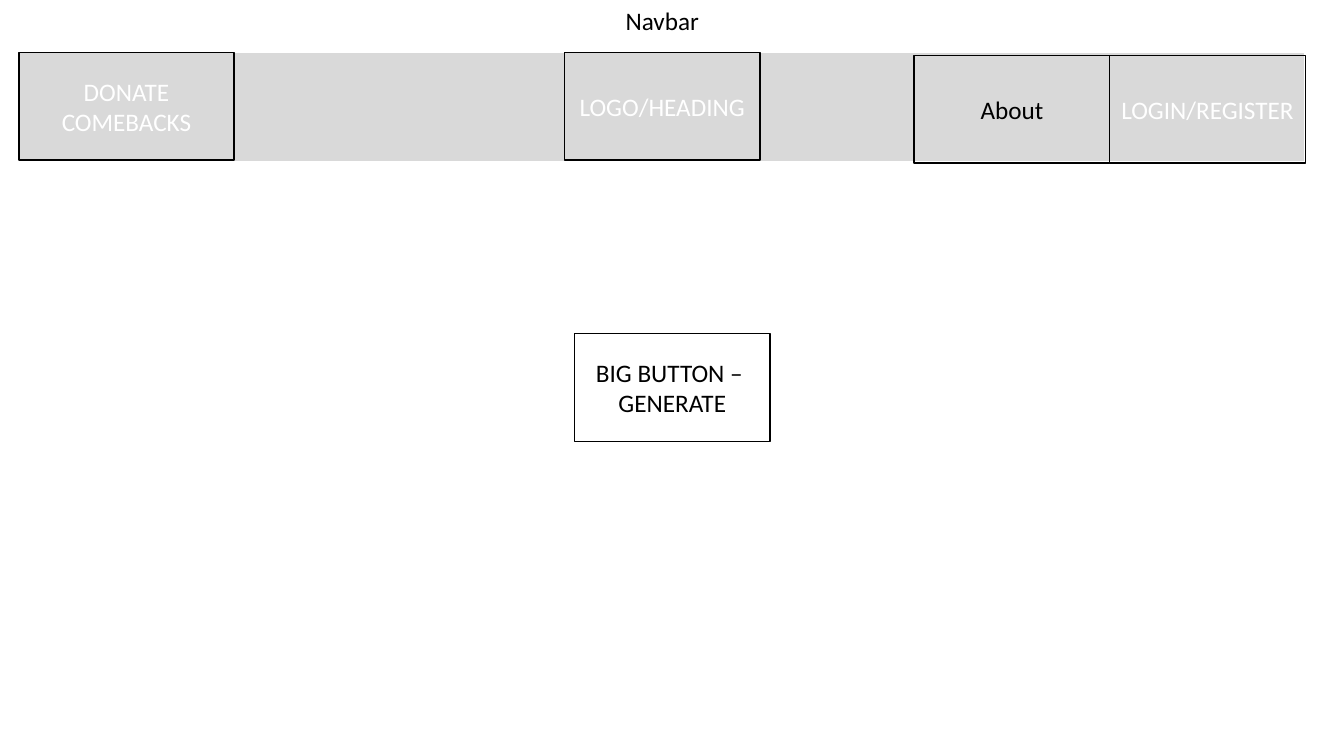
from pptx import Presentation
from pptx import util as u
from pptx.dml.color import RGBColor
from pptx.enum import shapes, text

INK = {"black": "000000", "white": "FFFFFF", "grey": "D9D9D9"}
LEFT, TOP = 13.7, 37.4
WIDE, HIGH = 139.7, 77
RIGHT = 792.7
LOW = 39.6


def tint(name):
    return RGBColor.from_string(INK[name])


def write(frame, words, color):
    frame.text = words
    frame.word_wrap = True
    for para in frame.paragraphs:
        para.alignment = text.PP_ALIGN.CENTER
        for run in para.runs:
            run.font.name = "Calibri"
            run.font.size = u.Pt(18)
            run.font.color.rgb = tint(color)


def add_box(slide, left, top, width, height, line, fill=None):
    box = slide.shapes.add_shape(
        shapes.MSO_SHAPE.RECTANGLE,
        u.Pt(left), u.Pt(top), u.Pt(width), u.Pt(height))
    box.shadow.inherit = False
    box.line.color.rgb = tint(line)
    box.line.width = u.Pt(1)
    if fill:
        box.fill.solid()
        box.fill.fore_color.rgb = tint(fill)
    else:
        box.fill.background()
    return box


def add_button(slide, words, left, top, color, width=WIDE):
    box = add_box(slide, left, top, width, HIGH, "black")
    box.text_frame.vertical_anchor = text.MSO_ANCHOR.MIDDLE
    write(box.text_frame, words, color)


def set_title(slide, words):
    title = slide.shapes.title
    title.left, title.top = u.Pt(374.4), u.Pt(0)
    title.width, title.height = u.Pt(197.3), u.Pt(29)
    frame = title.text_frame
    frame.auto_size = text.MSO_AUTO_SIZE.SHAPE_TO_FIT_TEXT
    frame.vertical_anchor = text.MSO_ANCHOR.TOP
    write(frame, words, "black")


def main():
    deck = Presentation()
    deck.slide_width, deck.slide_height = u.Pt(960), u.Pt(540)
    slide = deck.slides.add_slide(deck.slide_layouts[5])
    set_title(slide, "Navbar")
    add_box(slide, LEFT, TOP, 918, 78.5, "white", "grey")
    add_button(slide, "DONATE COMEBACKS", LEFT, TOP, "white", 153.4)
    add_button(slide, "LOGIN/REGISTER", RIGHT, LOW, "white")
    add_button(slide, "BIG BUTTON – \nGENERATE", 410.4, 238.3, "black")
    add_button(slide, "LOGO/HEADING", 403.2, TOP, "white")
    add_button(slide, "About", RIGHT - WIDE, LOW, "black")
    deck.save("out.pptx")


if __name__ == "__main__":
    main()
